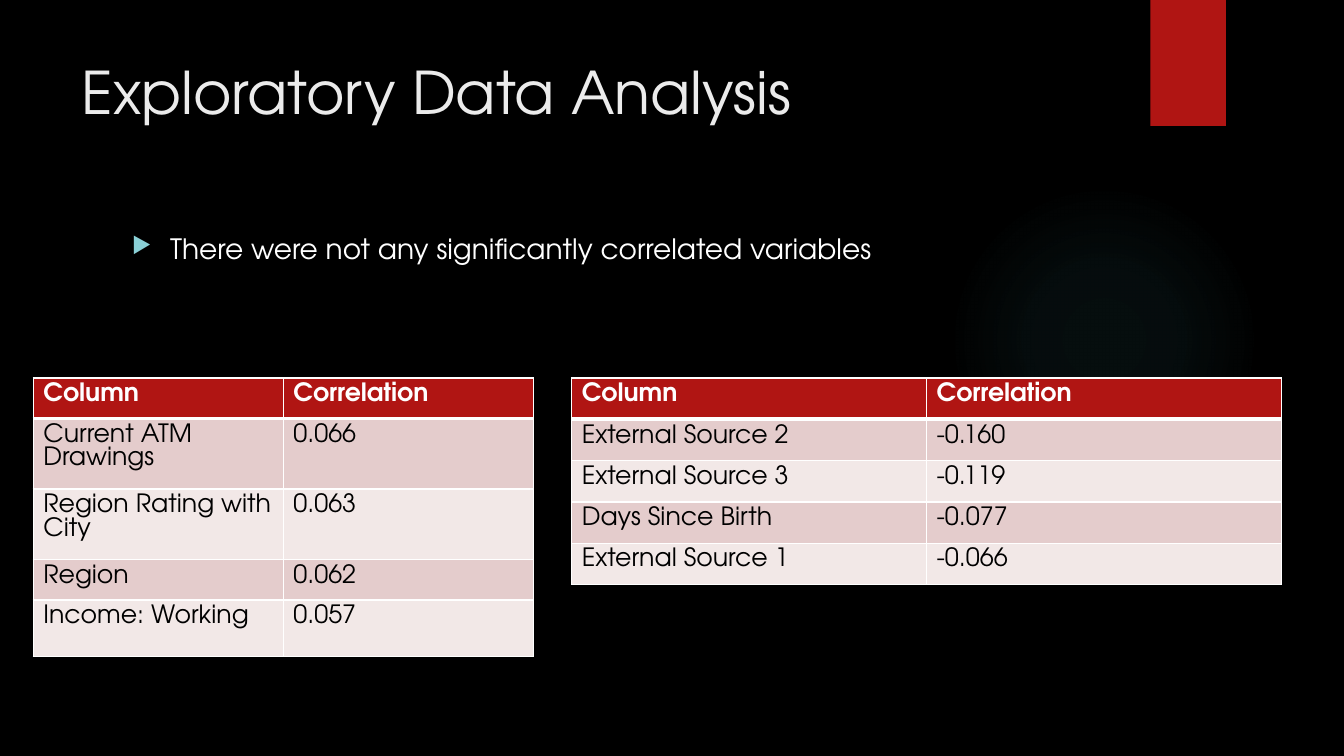
import pptx
import pptx.util
import pptx.oxml
import pptx.oxml.ns
import pptx.dml.color
import pptx.enum.shapes
import pptx.enum.text
from pptx.util import Inches

FONT = "TeX Gyre Adventor"
COLORS = {
    "background": "000000",
    "red": "B01513",
    "glow": "50B9C1",
    "title": "EBEBEB",
    "white": "FFFFFF",
    "black": "000000",
    "bullet": "8AD0D6",
    "band_dark": "E4CCCC",
    "band_light": "F2E8E7",
}
HEADER = ("Column", "Correlation")
POSITIVE = [("Current ATM Drawings", "0.066"), ("Region Rating with City", "0.063"),
            ("Region", "0.062"), ("Income: Working", "0.057")]
NEGATIVE = [("External Source 2", "-0.160"), ("External Source 3", "-0.119"),
            ("Days Since Birth", "-0.077"), ("External Source 1", "-0.066")]


def rgb(name):
    return pptx.dml.color.RGBColor.from_string(COLORS[name])


def xml(text):
    """Parse drawing elements and return them as a list."""
    return list(pptx.oxml.parse_xml(f'<a:group {pptx.oxml.ns.nsdecls("a")}>{text}</a:group>'))


def style(p, size, color, bold=False):
    p.font.name = FONT
    p.font.size = pptx.util.Pt(size)
    p.font.bold = bold
    p.font.color.rgb = rgb(color)


def add_block(s, kind, x, y, w, h, color):
    sp = s.shapes.add_shape(kind, Inches(x), Inches(y), Inches(w), Inches(h))
    sp.shadow.inherit = False
    sp.fill.solid()
    sp.fill.fore_color.rgb = rgb(color)
    sp.line.fill.background()
    return sp


def add_glow(s):
    sp = add_block(s, pptx.enum.shapes.MSO_SHAPE.OVAL, 9.41, 1.83, 3.08, 3.08, "glow")
    stops = "".join(
        f'<a:gs pos="{pos * 1000}"><a:srgbClr val="{COLORS["glow"]}">'
        f'<a:alpha val="{alpha * 1000}"/></a:srgbClr></a:gs>'
        for pos, alpha in ((0, 7), (36, 6), (69, 0), (100, 0)))
    grad = xml(f'<a:gradFill><a:gsLst>{stops}</a:gsLst><a:path path="circle">'
               '<a:fillToRect l="50000" t="50000" r="50000" b="50000"/></a:path></a:gradFill>')[0]
    spPr = sp._element.spPr
    spPr.replace(spPr.find(pptx.oxml.ns.qn("a:solidFill")), grad)


def set_title(s, text):
    sp = s.shapes.title
    sp.left, sp.top, sp.width, sp.height = Inches(0.71), Inches(0.5), Inches(10.29), Inches(1.53)
    tf = sp.text_frame
    tf.text = text
    tf.auto_size = pptx.enum.text.MSO_AUTO_SIZE.NONE
    tf.vertical_anchor = pptx.enum.text.MSO_ANCHOR.TOP
    p = tf.paragraphs[0]
    p.alignment = pptx.enum.text.PP_ALIGN.LEFT
    style(p, 42, "title")


def add_bullet(s, text):
    sp = s.shapes.add_textbox(Inches(1.21), Inches(2.25), Inches(9.78), Inches(4.59))
    tf = sp.text_frame
    tf.word_wrap = True
    p = tf.paragraphs[0]
    p.text = text
    p.space_before = pptx.util.Pt(10)
    style(p, 20, "white")
    pPr = p._p.get_or_add_pPr()
    pPr.set("marL", str(Inches(0.38)))
    pPr.set("indent", str(-Inches(0.38)))
    # Bullet settings sit between the spacing and the font defaults
    defaults = pPr.find(pptx.oxml.ns.qn("a:defRPr"))
    for part in xml(f'<a:buClr><a:srgbClr val="{COLORS["bullet"]}"/></a:buClr>'
                    '<a:buSzPct val="80000"/><a:buChar char="▶"/>'):
        defaults.addprevious(part)


def set_borders(cell, top, bottom):
    tcPr = cell._tc.get_or_add_tcPr()
    for i, (side, width) in enumerate((("L", 1), ("R", 1), ("T", top), ("B", bottom))):
        line = xml(f'<a:ln{side} w="{int(pptx.util.Pt(width))}"><a:solidFill><a:srgbClr '
                   f'val="{COLORS["white"]}"/></a:solidFill></a:ln{side}>')[0]
        tcPr.insert(i, line)


def add_correlations(s, x, col_width, row_heights, rows):
    frame = s.shapes.add_table(len(rows) + 1, 2, Inches(x), Inches(3.75),
                               Inches(2 * col_width), Inches(sum(row_heights)))
    table = frame.table
    for col in table.columns:
        col.width = Inches(col_width)
    for i, values in enumerate([HEADER] + rows):
        table.rows[i].height = Inches(row_heights[i])
        head = i == 0
        fill = "red" if head else "band_dark" if i % 2 else "band_light"
        for j, value in enumerate(values):
            cell = table.cell(i, j)
            cell.text = value
            cell.fill.solid()
            cell.fill.fore_color.rgb = rgb(fill)
            style(cell.text_frame.paragraphs[0], 18, "white" if head else "black", head)
            # The rule under the header is thicker, on both sides of the edge
            set_borders(cell, 3 if i == 1 else 1, 3 if head else 1)


def main():
    prs = pptx.Presentation()
    prs.slide_width, prs.slide_height = Inches(13.33), Inches(7.5)
    s = prs.slides.add_slide(prs.slide_layouts[5])
    s.background.fill.solid()
    s.background.fill.fore_color.rgb = rgb("background")

    # Decoration
    add_glow(s)
    add_block(s, pptx.enum.shapes.MSO_SHAPE.RECTANGLE, 11.41, 0, 0.75, 1.25, "red")

    # Title and finding
    set_title(s, "Exploratory Data Analysis")
    add_bullet(s, "There were not any significantly correlated variables")

    # Negative and positive correlations
    add_correlations(s, 5.67, 3.52, [0.41] * 5, NEGATIVE)
    add_correlations(s, 0.33, 2.48, [0.37] * 4 + [0.56], POSITIVE)

    prs.save("out.pptx")


if __name__ == "__main__":
    main()
